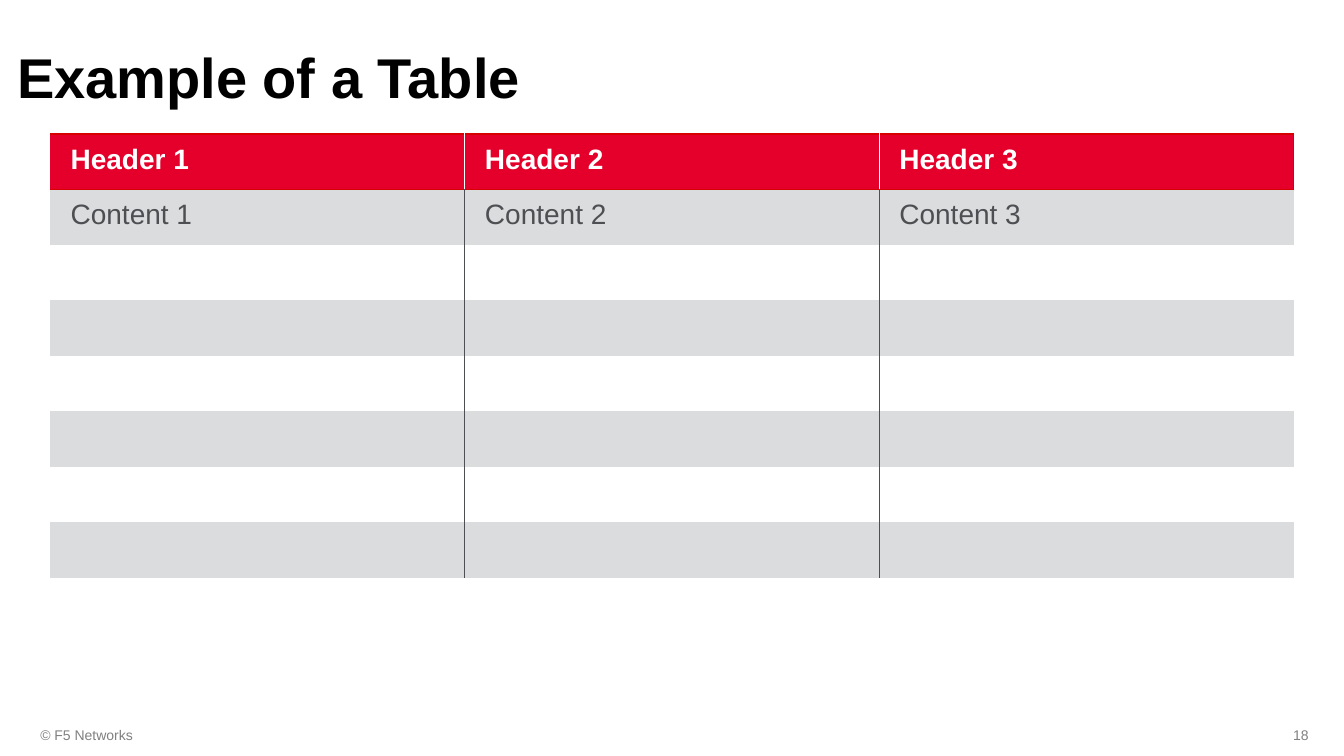
from lxml import etree
from pptx import Presentation
from pptx.dml.color import RGBColor
from pptx.enum import text as t
from pptx.oxml import ns
from pptx.util import Inches, Pt

# Content
TITLE = "Example of a Table"
HEADS = ["Header 1", "Header 2", "Header 3"]
ROWS = [["Content 1", "Content 2", "Content 3"]] + [[""] * 3] * 6
FOOTERS = [
    ("© F5 Networks", 0.23, 4.5, t.PP_ALIGN.LEFT),
    ("18", 9.85, 3.3, t.PP_ALIGN.RIGHT),
]

# Style
FONT = "Arial"
BLACK = RGBColor(0x00, 0x00, 0x00)
WHITE = RGBColor(0xFF, 0xFF, 0xFF)
RED = RGBColor(0xE4, 0x00, 0x2B)
EDGE = RGBColor(0xD6, 0x00, 0x00)
BAND = RGBColor(0xDB, 0xDC, 0xDD)
DARK = RGBColor(0x4D, 0x4F, 0x53)
GREY = RGBColor(0x80, 0x80, 0x80)
PAD = Inches(0.17)


def style(para, size, color, bold=False):
    font = para.font
    font.name, font.size, font.bold = FONT, Pt(size), bold
    font.color.rgb = color


def inset(frame):
    frame.margin_left = frame.margin_right = PAD
    frame.margin_top = frame.margin_bottom = PAD
    frame.word_wrap = True


def border(cell, sides):
    """Draw the left, right, top and bottom edges; None leaves one bare."""
    props = cell._tc.get_or_add_tcPr()
    for i, (side, color) in enumerate(zip("LRTB", sides)):
        line = etree.Element(ns.qn("a:ln" + side), w=str(Pt(1)))
        if color is None:
            etree.SubElement(line, ns.qn("a:noFill"))
        else:
            fill = etree.SubElement(line, ns.qn("a:solidFill"))
            etree.SubElement(fill, ns.qn("a:srgbClr"), val=str(color))
        props.insert(i, line)


prs = Presentation()
prs.slide_width, prs.slide_height = Inches(13.33), Inches(7.5)
slide = prs.slides.add_slide(prs.slide_layouts[5])

# Title
title = slide.shapes.title
title.left, title.top = Inches(0), Inches(0.33)
title.width, title.height = Inches(12.67), Inches(0.95)
frame = title.text_frame
frame.text = TITLE
inset(frame)
frame.auto_size = t.MSO_AUTO_SIZE.NONE
frame.vertical_anchor = t.MSO_ANCHOR.TOP
para = frame.paragraphs[0]
para.alignment = t.PP_ALIGN.LEFT
para.line_spacing = 0.9
style(para, 40, BLACK, True)

# Table
grid = [HEADS] + ROWS
last = len(HEADS) - 1
table = slide.shapes.add_table(
    len(grid), len(HEADS), Inches(0.5), Inches(1.33),
    Inches(12.33), Inches(0.55 * len(grid))).table
for r, row in enumerate(grid):
    head = r == 0
    rule = WHITE if head else DARK
    for c, words in enumerate(row):
        cell = table.cell(r, c)
        cell.text = words
        cell.margin_left = cell.margin_right = Inches(0.2)
        cell.margin_top = cell.margin_bottom = Inches(0.1)
        style(cell.text_frame.paragraphs[0], 20, rule, head)
        cell.fill.solid()
        cell.fill.fore_color.rgb = RED if head else BAND if r % 2 else WHITE
        border(cell, (
            rule if c else None,
            rule if c < last else EDGE if head else None,
            EDGE if r < 2 else None,
            EDGE if head else None))

# Footers
for words, left, width, align in FOOTERS:
    box = slide.shapes.add_textbox(
        Inches(left), Inches(7.09), Inches(width), Inches(0.4))
    frame = box.text_frame
    frame.text = words
    inset(frame)
    frame.vertical_anchor = t.MSO_ANCHOR.MIDDLE
    para = frame.paragraphs[0]
    para.alignment = align
    style(para, 10, GREY)

prs.save("out.pptx")
